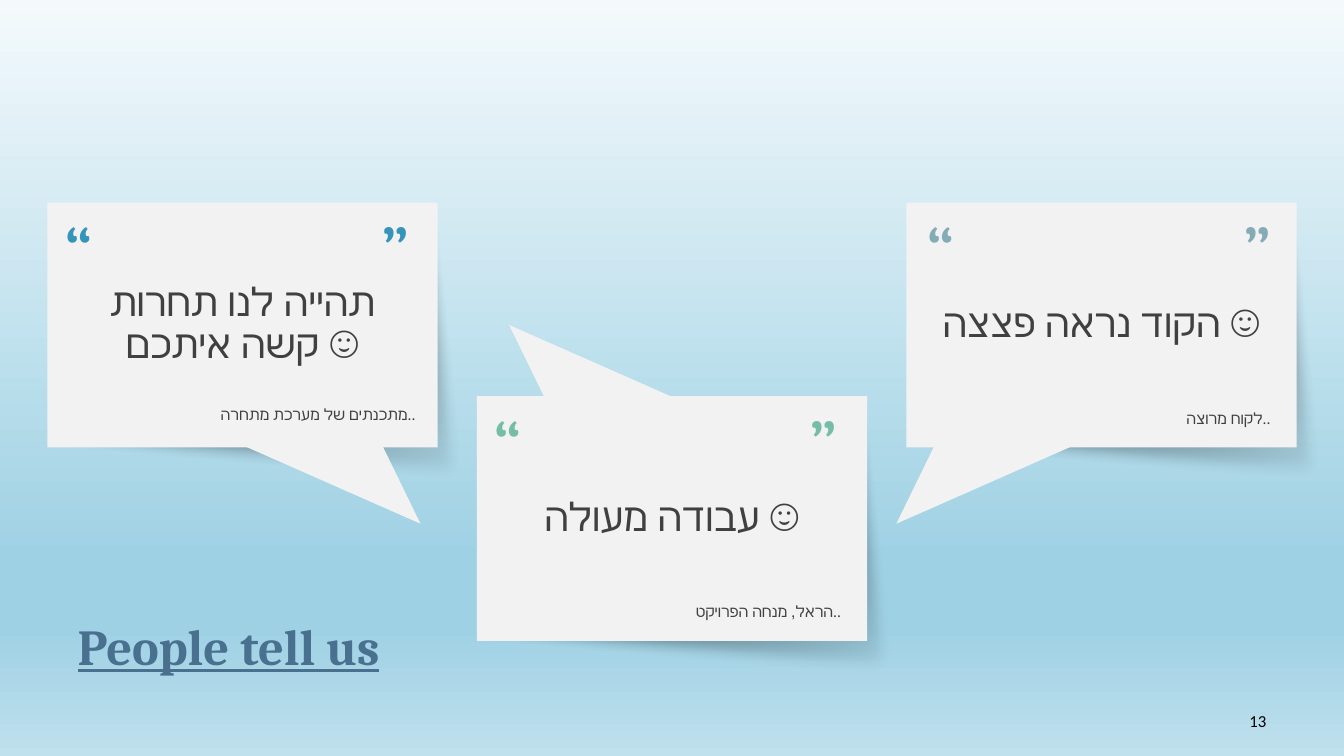
from lxml.etree import SubElement
from pptx import Presentation
from pptx.dml.color import RGBColor
from pptx.enum.shapes import MSO_SHAPE
from pptx.enum.text import MSO_ANCHOR, MSO_AUTO_SIZE, PP_ALIGN
from pptx.oxml.ns import qn
from pptx.util import Inches, Pt

TITLE = "People tell us"
NUMBER = "13"
# column, top, quote, speaker, mark colour, mark inset, speaker offset, tail
CARDS = [
    (0, 2.01, "תהייה לנו תחרות קשה איתכם ☺", "מתכנתים של מערכת מתחרה..",
     "blue", 0.17, (0.2, 1.99), (2.4, 1.67, 133.9)),
    (1, 3.93, "עבודה מעולה ☺", "הראל, מנחה הפרויקט..",
     "green", 0.16, (0.16, 2.03), (0.31, -0.98, 313.9)),
    (2, 2.01, "הקוד נראה פצצה ☺", "לקוח מרוצה..",
     "grey", 0.2, (0.16, 2.03), (-0.11, 1.67, 226.1)),
]
COLORS = {"title": "4A7090", "card": "F2F2F2", "text": "404040",
          "black": "000000", "blue": "3494BA", "green": "75BDA7",
          "grey": "84ACB6"}
SKY = [(0, "F4FAFC", 100), (74, "9FD1E4", 100),
       (83, "9FD1E4", 100), (100, "BFE0ED", 100)]
FADE = [(0, "000000", 100), (100, "000000", 0)]
LEFT, PITCH = 0.47, 4.26
WIDTH, HEIGHT = 3.87, 2.43
SHADE = [(WIDTH, 0), (4.18, 2.82), (0, HEIGHT)]
MARK_GAP = 3.14


def rgb(name):
    return RGBColor.from_string(COLORS[name])


def blend(fill, parent, stops, angle):
    """Swap the solid fill inside parent for a gradient; stops hold
    (position %, colour, opacity %)."""
    fill.solid()
    old = parent.find(qn("a:solidFill"))
    grad = old.makeelement(qn("a:gradFill"), {"rotWithShape": "1"})
    parent.replace(old, grad)
    row = SubElement(grad, qn("a:gsLst"))
    for pos, color, alpha in stops:
        stop = SubElement(row, qn("a:gs"), pos=str(pos * 1000))
        tint = SubElement(stop, qn("a:srgbClr"), val=color)
        if alpha < 100:
            SubElement(tint, qn("a:alpha"), val=str(alpha * 1000))
    SubElement(grad, qn("a:lin"), ang=str(angle * 60000), scaled="0")


def write(shape, text, size, color, font="Calibri", align=PP_ALIGN.LEFT,
          anchor=MSO_ANCHOR.TOP, inset=None, line=None):
    frame = shape.text_frame
    frame.word_wrap = True
    frame.auto_size = MSO_AUTO_SIZE.NONE
    frame.vertical_anchor = anchor
    if inset is not None:
        frame.margin_left = frame.margin_right = Inches(inset)
        frame.margin_top = frame.margin_bottom = Inches(inset)
    para = frame.paragraphs[0]
    para.text = text
    para.alignment = align
    para.line_spacing = line
    para.font.name = font
    para.font.size = Pt(size)
    para.font.color.rgb = rgb(color)
    return para


def add_box(slide, *place):
    return slide.shapes.add_textbox(*map(Inches, place))


def add_plain(slide, kind, *place):
    shape = slide.shapes.add_shape(kind, *map(Inches, place))
    shape.shadow.inherit = False
    shape.fill.solid()
    shape.fill.fore_color.rgb = rgb("card")
    shape.line.fill.background()
    return shape


def add_shade(slide, left, top):
    """Soft shadow that spreads out below and to the right of a card."""
    path = slide.shapes.build_freeform(Inches(left), Inches(top), 1)
    path.add_line_segments(
        [(Inches(left + x), Inches(top + y)) for x, y in SHADE])
    shade = path.convert_to_shape()
    shade.line.fill.background()
    shade.shadow.inherit = False
    props = shade.element.spPr
    blend(shade.fill, props, FADE, 60)
    SubElement(props.find(qn("a:effectLst")), qn("a:softEdge"), rad="127000")


def add_card(slide, col, top, quote, speaker, color, inset, name_at, tail):
    left = LEFT + col * PITCH
    add_shade(slide, left, top)

    dx, dy, turn = tail
    tip = add_plain(slide, MSO_SHAPE.ISOSCELES_TRIANGLE,
                    left + dx, top + dy, 1.31, 1.79)
    tip.rotation = turn

    card = add_plain(slide, MSO_SHAPE.RECTANGLE, left, top, WIDTH, HEIGHT)
    write(card, quote, 28, "text", align=PP_ALIGN.CENTER,
          anchor=MSO_ANCHOR.MIDDLE, inset=0.2, line=0.9)

    for i, mark in enumerate("“”"):
        box = add_box(slide, left + inset + i * MARK_GAP, top + 0.11,
                      0.53, 0.47)
        write(box, mark, 54, color, font="Cambria", inset=0, line=0.9)

    dx, dy = name_at
    write(add_box(slide, left + dx, top + dy, 3.55, 0.25), speaker,
          11.1, "text", align=PP_ALIGN.RIGHT, line=0.8)


def main():
    deck = Presentation()
    deck.slide_width, deck.slide_height = Inches(13.33), Inches(7.5)
    slide = deck.slides.add_slide(deck.slide_layouts[5])
    fill = slide.background.fill
    fill.solid()
    blend(fill, slide.element.cSld.find(qn("p:bg")).find(qn("p:bgPr")),
          SKY, 90)

    title = slide.shapes.title
    title.left, title.top = Inches(0.67), Inches(5.58)
    title.width, title.height = Inches(12), Inches(1.17)
    para = write(title, TITLE, 36, "title", font="Cambria",
                 anchor=MSO_ANCHOR.BOTTOM, line=0.8)
    para.font.bold = para.font.underline = True

    for card in CARDS:
        add_card(slide, *card)

    write(add_box(slide, 9.55, 6.95, 3.11, 0.4), NUMBER, 12, "black",
          align=PP_ALIGN.RIGHT, anchor=MSO_ANCHOR.MIDDLE)
    deck.save("out.pptx")


if __name__ == "__main__":
    main()
